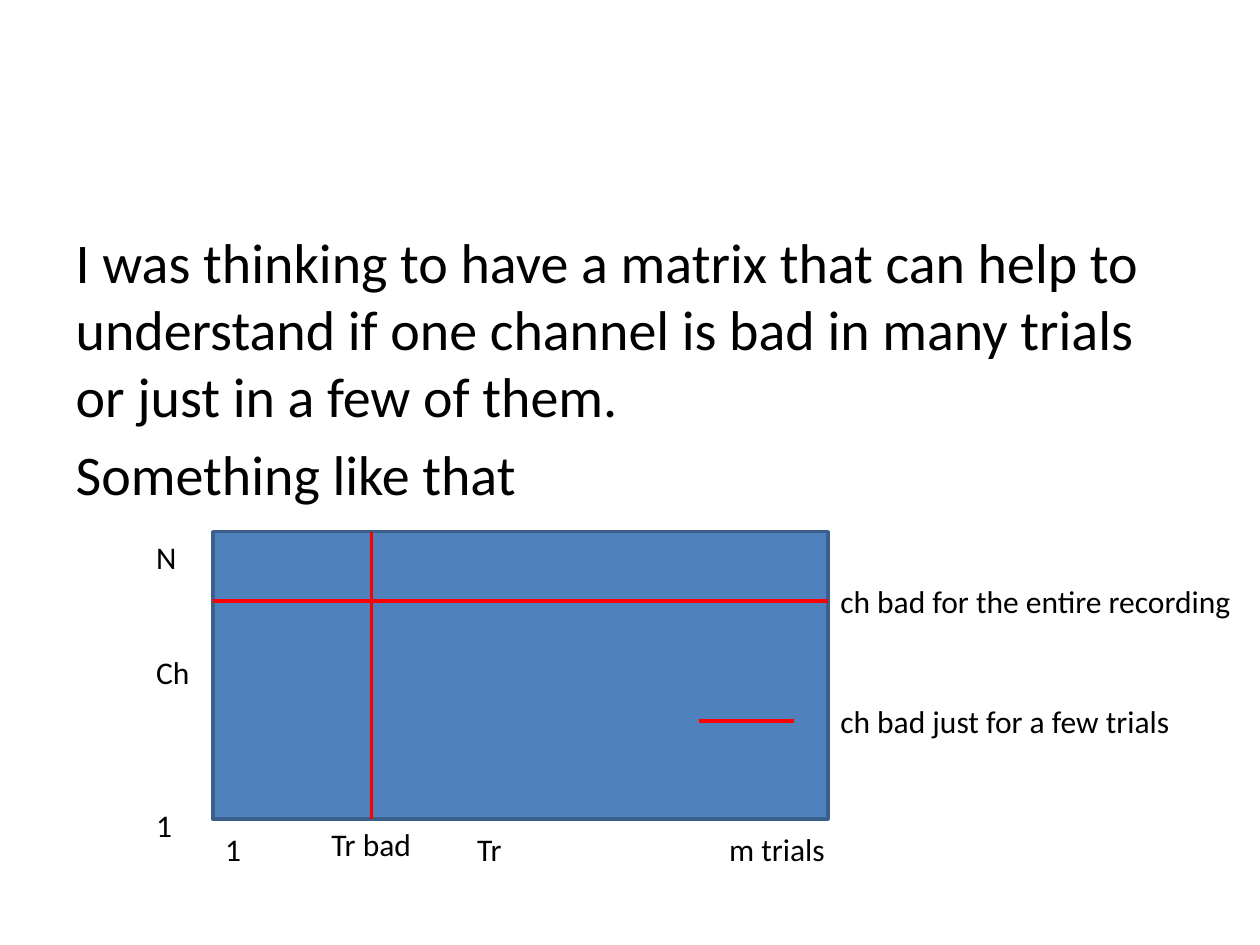
import pptx
import pptx.util
import pptx.dml.color
import pptx.enum.shapes
import pptx.enum.text
import pptx.oxml
import pptx.oxml.ns
import lxml.etree

COLORS = {"text": "000000", "matrix": "4F81BD", "border": "3A5F8C", "bad": "FF0000"}
Cm = pptx.util.Cm
Pt = pptx.util.Pt


def color(name):
    return pptx.dml.color.RGBColor.from_string(COLORS[name])


def add_element(parent, tag, **attributes):
    return lxml.etree.SubElement(parent, pptx.oxml.ns.qn(tag), **attributes)


class SlideBuilder:
    font_name = "Calibri"
    line_width = Pt(2)

    def __init__(self, slide):
        self.slide = slide

    def format_paragraph(self, paragraph, size):
        values = {"name": self.font_name, "size": Pt(size)}
        for run in paragraph.runs:
            for attribute, value in values.items():
                setattr(run.font, attribute, value)
            run.font.color.rgb = color("text")

    def body(self, left, top, width, height, lines):
        shape = self.slide.placeholders[1]
        frame = {"left": left, "top": top, "width": width, "height": height}
        for attribute, value in frame.items():
            setattr(shape, attribute, Cm(value))
        shape.text_frame.text = "\n".join(lines)
        for paragraph in shape.text_frame.paragraphs:
            properties = paragraph._p.get_or_add_pPr()
            properties.set("marL", "0")
            properties.set("indent", "0")
            add_element(properties, "a:buNone")
            self.format_paragraph(paragraph, 32)

    def rectangle(self, left, top, width, height):
        shape = self.slide.shapes.add_shape(
            pptx.enum.shapes.MSO_SHAPE.RECTANGLE, Cm(left), Cm(top), Cm(width), Cm(height))
        shape.shadow.inherit = False
        shape.fill.solid()
        shape.fill.fore_color.rgb = color("matrix")
        shape.line.color.rgb = color("border")
        shape.line.width = self.line_width

    def line(self, start_x, start_y, end_x, end_y):
        connector = self.slide.shapes.add_connector(
            pptx.enum.shapes.MSO_CONNECTOR.STRAIGHT,
            Cm(start_x), Cm(start_y), Cm(end_x), Cm(end_y))
        connector.line.color.rgb = color("bad")
        connector.line.width = self.line_width
        add_element(connector._element.spPr, "a:effectLst")

    def label(self, left, top, width, height, lines, gaps=(0,), tab_stops=()):
        shape = self.slide.shapes.add_textbox(Cm(left), Cm(top), Cm(width), Cm(height))
        values = {"word_wrap": False, "text": "\n".join(lines),
                  "auto_size": pptx.enum.text.MSO_AUTO_SIZE.SHAPE_TO_FIT_TEXT}
        for attribute, value in values.items():
            setattr(shape.text_frame, attribute, value)
        for paragraph, gap in zip(shape.text_frame.paragraphs, gaps):
            paragraph.space_before = Pt(gap)
            self.format_paragraph(paragraph, 18)
            if tab_stops:
                tab_list = add_element(paragraph._p.get_or_add_pPr(), "a:tabLst")
                for position in tab_stops:
                    add_element(tab_list, "a:tab", pos=str(Cm(position)), algn="l")


def main():
    presentation = pptx.Presentation()
    presentation.slide_width = Cm(25.4)
    presentation.slide_height = Cm(19.05)
    slide = presentation.slides.add_slide(presentation.slide_layouts[1])
    title = slide.shapes.title._element
    title.getparent().remove(title)

    builder = SlideBuilder(slide)
    builder.body(1.27, 4.45, 22.86, 12.57, [
        "I was thinking to have a matrix that can help to understand if one channel "
        "is bad in many trials or just in a few of them.",
        "Something like that",
    ])

    left, top, width, height = 4.29, 10.72, 12.4, 5.79
    right, bottom = left + width, top + height
    bad_trial, bad_channel, few_trials = 7.49, 12.12, 14.53
    label_height, half_label = 1.02, 0.51

    builder.rectangle(left, top, width, height)
    builder.label(2.9, top, 1.19, 6.4, ["N", "Ch", "1"], gaps=(0, 44, 66))
    builder.label(left, 16.61, 12.73, label_height, ["1\tTr\tm trials"],
                  tab_stops=(5.08, 10.16))
    builder.line(bad_trial, top, bad_trial, bottom)
    builder.label(6.43, bottom, 2.13, label_height, ["Tr bad"])

    channels = [
        (bad_channel, left, right, 8.48, "ch bad for the entire recording"),
        (few_trials, 14.1, 16, 7.24, "ch bad just for a few trials"),
    ]
    for y, start, end, label_width, text in channels:
        builder.line(start, y, end, y)
        builder.label(right, y - half_label, label_width, label_height, [text])

    presentation.save("out.pptx")


if __name__ == "__main__":
    main()
